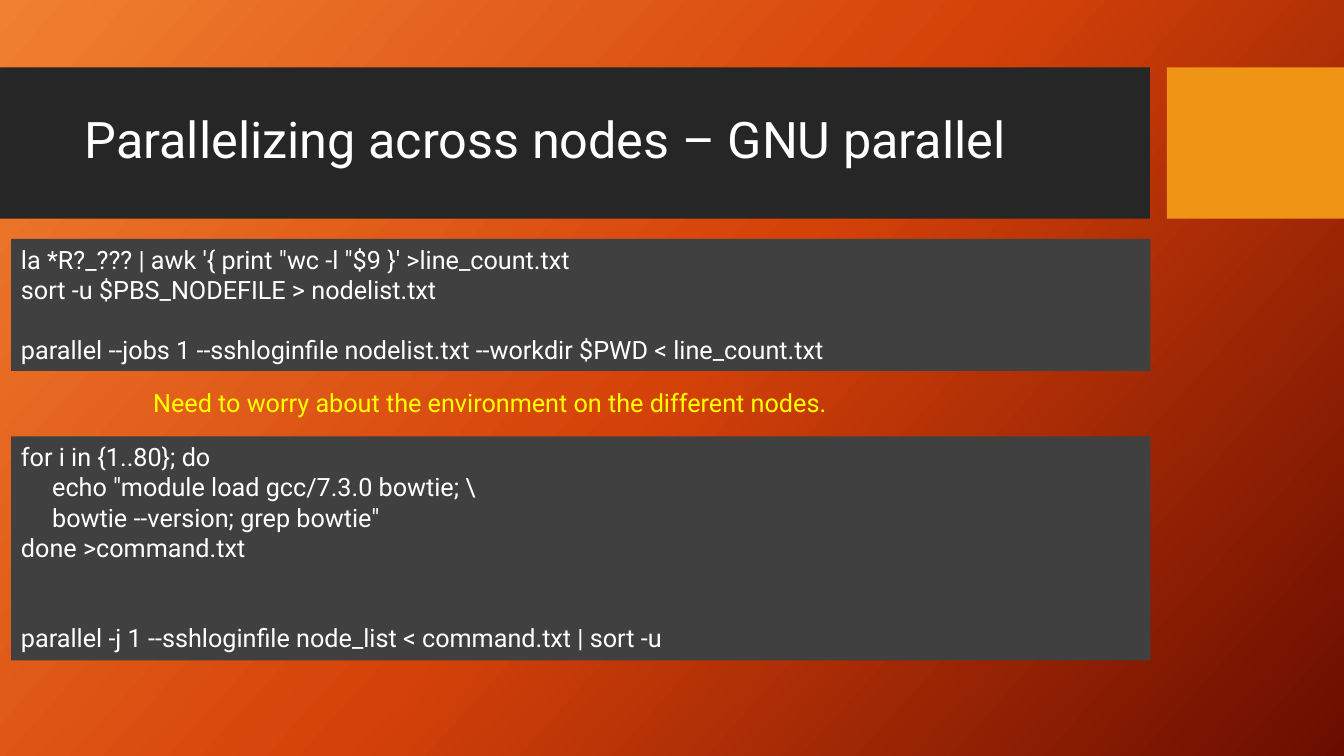
from copy import deepcopy
from dataclasses import dataclass

from pptx import Presentation
from pptx import util as u
from pptx.dml.color import RGBColor
from pptx.enum import shapes, text
from pptx.oxml.ns import qn


@dataclass(frozen=True)
class Theme:
    font: str = "Roboto"
    title_size: float = 36
    body_size: float = 18
    blank_line: float = 21.5
    white: str = "FFFFFF"
    note: str = "FFFF00"
    band: str = "262626"
    accent: str = "F09415"
    code: str = "404040"
    gradient: tuple = ((0, "F18031"), (0.5, "D54209"), (1, "6A0D00"))


theme = Theme()


def write(frame, content, size=theme.body_size, color=theme.white,
          anchor=text.MSO_ANCHOR.TOP, spacing=None, wrap=True):
    """Write one paragraph per line; blank lines become space before the next."""
    frame.word_wrap = wrap
    frame.auto_size = text.MSO_AUTO_SIZE.NONE
    frame.vertical_anchor = anchor
    paragraph, blanks = None, 0
    for line in content.split("\n"):
        if not line:
            blanks += 1
            continue
        paragraph = frame.add_paragraph() if paragraph else frame.paragraphs[0]
        paragraph.alignment = text.PP_ALIGN.LEFT
        paragraph.line_spacing = spacing
        paragraph.space_before = u.Pt(blanks * theme.blank_line)
        blanks = 0
        run = paragraph.add_run()
        run.text = line
        run.font.name = theme.font
        run.font.size = u.Pt(size)
        run.font.color.rgb = RGBColor.from_string(color)


def add_block(slide, left, top, width, height, color):
    shape = slide.shapes.add_shape(shapes.MSO_SHAPE.RECTANGLE, u.Cm(left),
                                   u.Cm(top), u.Cm(width), u.Cm(height))
    shape.shadow.inherit = False
    shape.fill.solid()
    shape.fill.fore_color.rgb = RGBColor.from_string(color)
    shape.line.fill.background()
    return shape


presentation = Presentation()
presentation.slide_width, presentation.slide_height = u.Cm(33.87), u.Cm(19.05)
slide = presentation.slides.add_slide(presentation.slide_layouts[5])

# Background gradient with a third stop
background = slide.background.fill
background.gradient()
background.gradient_angle = 360 - 42
stop_list = slide.element.find(".//" + qn("a:gsLst"))
stop_list.append(deepcopy(stop_list[-1]))
for stop, (position, color) in zip(background.gradient_stops, theme.gradient):
    stop.position = position
    stop.color.rgb = RGBColor.from_string(color)

# Title band and accent block
add_block(slide, 0, 1.7, 28.98, 3.81, theme.band)
add_block(slide, 29.41, 1.7, 4.46, 3.81, theme.accent)

# Title, brought in front of its band
title = slide.shapes.title
title.left, title.top = u.Cm(1.88), u.Cm(2.08)
title.width, title.height = u.Cm(26.7), u.Cm(3)
write(title.text_frame, "Parallelizing across nodes – GNU parallel",
      size=theme.title_size, anchor=text.MSO_ANCHOR.MIDDLE, spacing=0.9)
title.element.getparent().append(title.element)

# Code blocks
line_count_code = r"""la *R?_??? | awk '{ print "wc -l "$9 }' >line_count.txt
sort -u $PBS_NODEFILE > nodelist.txt

parallel --jobs 1 --sshloginfile nodelist.txt --workdir $PWD < line_count.txt"""

module_code = r"""for i in {1..80}; do
     echo "module load gcc/7.3.0 bowtie; \
     bowtie --version; grep bowtie"
done >command.txt


parallel -j 1 --sshloginfile node_list < command.txt | sort -u"""

for top, height, code in ((6.02, 3.33, line_count_code), (11, 5.64, module_code)):
    block = add_block(slide, 0.28, top, 28.71, height, theme.code)
    write(block.text_frame, code)

# Note between the code blocks
note = slide.shapes.add_textbox(u.Cm(3.61), u.Cm(9.63), u.Cm(18.29), u.Cm(1.02))
write(note.text_frame, "Need to worry about the environment on the different nodes.",
      color=theme.note, wrap=False)

presentation.save("out.pptx")
